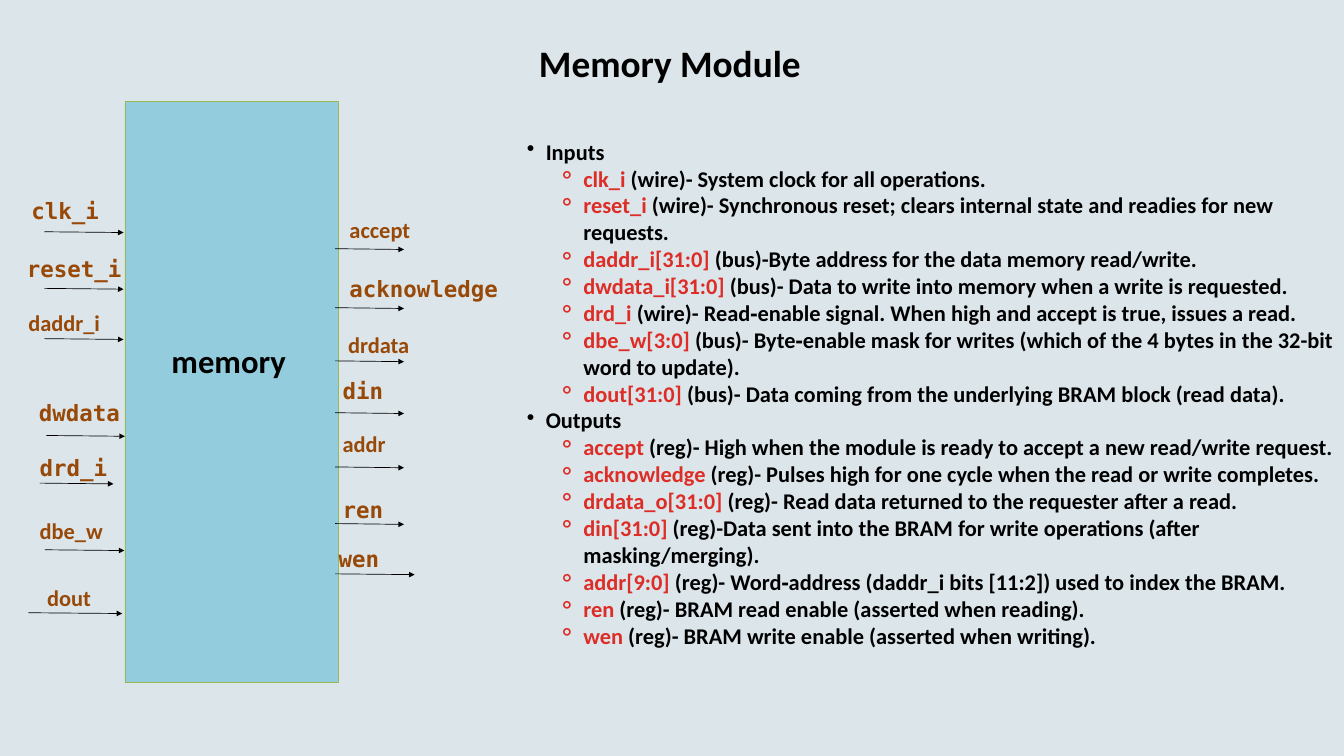
from lxml.etree import SubElement
from pptx import Presentation
from pptx.dml.color import RGBColor
from pptx.enum.shapes import MSO_CONNECTOR, MSO_SHAPE
from pptx.enum.text import MSO_ANCHOR, MSO_AUTO_SIZE, PP_ALIGN
from pptx.oxml.ns import qn
from pptx.util import Cm, Pt

SANS, MONO = "Calibri", "DejaVu Sans Mono"
BLACK, BROWN, RED = "000000", "984807", "DD2D26"

# name, font, label left, label top, arrow start, arrow end, arrow y (cm)
INS = [
    ("clk_i", MONO, 1.19, 7.44, 1.68, 4.67, 8.76),
    ("reset_i", MONO, 1.02, 9.63, 1.68, 4.67, 10.9),
    ("daddr_i", SANS, 1.07, 11.68, 1.68, 4.67, 12.8),
    ("dwdata", MONO, 1.47, 15.09, 1.75, 4.72, 16.46),
    ("drd_i", MONO, 1.5, 17.15, 1.5, 4.29, 18.26),
    ("dbe_w", SANS, 1.5, 19.53, 1.7, 4.7, 20.78),
    ("dout", SANS, 1.78, 22.07, 1.07, 4.62, 23.16),
]
OUTS = [
    ("accept", SANS, 13.21, 8.18, 12.67, 15.27, 9.4),
    ("acknowledge", MONO, 13.21, 10.39, 12.67, 15.27, 11.63),
    ("drdata", SANS, 13.16, 12.52, 12.67, 15.27, 13.64),
    ("din", MONO, 12.95, 14.27, 12.67, 15.27, 15.6),
    ("addr", SANS, 12.95, 16.26, 12.67, 15.27, 17.65),
    ("ren", MONO, 12.95, 18.75, 12.67, 15.27, 19.79),
    ("wen", MONO, 12.8, 20.6, 12.67, 15.67, 21.69),
]
NOTES = {
    "Inputs": [
        ("clk_i", " (wire)- System clock for all operations."),
        ("reset_i", " (wire)- Synchronous reset; clears internal state"
                    " and readies for new requests."),
        ("daddr_i[31:0]", " (bus)-Byte address for the data memory read/write."),
        ("dwdata_i[31:0]", " (bus)- Data to write into memory when a write is requested."),
        ("drd_i", " (wire)- Read‐enable signal. When high and accept is true,"
                  " issues a read."),
        ("dbe_w[3:0] ", "(bus)- Byte‐enable mask for writes (which of the 4 bytes"
                        " in the 32-bit word to update)."),
        ("dout[31:0]", " (bus)- Data coming from the underlying BRAM block (read data)."),
    ],
    "Outputs": [
        ("accept ", "(reg)- High when the module is ready to accept"
                    " a new read/write request."),
        ("acknowledge", " (reg)- Pulses high for one cycle when the read"
                        " or write completes."),
        ("drdata_o[31:0]", " (reg)- Read data returned to the requester after a read."),
        ("din[31:0]", " (reg)-Data sent into the BRAM for write operations"
                      " (after masking/merging)."),
        ("addr[9:0] ", "(reg)- Word‐address (daddr_i bits [11:2])"
                       " used to index the BRAM."),
        ("ren", " (reg)- BRAM read enable (asserted when reading)."),
        ("wen", " (reg)- BRAM write enable (asserted when writing)."),
    ],
}


def rgb(code):
    return RGBColor.from_string(code)


def set_up(frame, anchor=MSO_ANCHOR.TOP):
    """Wrap the frame, with no insets and no autofit."""
    frame.word_wrap = True
    frame.auto_size = MSO_AUTO_SIZE.NONE
    frame.vertical_anchor = anchor
    frame.margin_left = frame.margin_right = 0
    frame.margin_top = frame.margin_bottom = 0
    return frame


def add_box(slide, x, y, w, h, anchor=MSO_ANCHOR.TOP):
    box = slide.shapes.add_textbox(Cm(x), Cm(y), Cm(w), Cm(h))
    return set_up(box.text_frame, anchor)


def add_run(par, text, size, color, font=SANS):
    par.line_spacing = Pt(size * 1.2)
    run = par.add_run()
    run.text = text
    run.font.size, run.font.name, run.font.bold = Pt(size), font, True
    run.font.color.rgb = rgb(color)


def add_arrow(slide, x1, x2, y):
    line = slide.shapes.add_connector(
        MSO_CONNECTOR.STRAIGHT, Cm(x1), Cm(y), Cm(x2), Cm(y + 0.03))
    line.line.width = Pt(0.75)
    line.line.color.rgb = rgb(BLACK)
    SubElement(line.line._get_or_add_ln(), qn("a:tailEnd"), type="triangle")
    SubElement(line._element.spPr, qn("a:effectLst"))


def add_signals(slide, signals, width):
    for name, font, x, y, start, end, level in signals:
        add_arrow(slide, start, end, level)
        frame = add_box(slide, x, y, width, 1.1)
        add_run(frame.paragraphs[0], name, 24, BROWN, font)


def add_bullet(par, level, mark, left, hang):
    par.level = level
    props = par._p.get_or_add_pPr()
    props.set("marL", str(Cm(left)))
    props.set("indent", str(-Cm(hang)))
    SubElement(props, qn("a:buChar"), char=mark)


def add_notes(slide):
    frame = add_box(slide, 19.18, 4.6, 31.62, 20.52, MSO_ANCHOR.MIDDLE)
    par = frame.paragraphs[0]
    for head, items in NOTES.items():
        if par is None:
            par = frame.add_paragraph()
        add_bullet(par, 0, "•", 1.45, 0.71)
        add_run(par, head, 24, BLACK)
        for name, text in items:
            par = frame.add_paragraph()
            add_bullet(par, 1, "⚬", 2.87, 0.97)
            add_run(par, name, 24, RED)
            add_run(par, text, 24, BLACK)
        par = None


def add_title(slide):
    title = slide.shapes.title
    title.left, title.top = Cm(20.37), Cm(1.5)
    title.width, title.height = Cm(12.2), Cm(1.88)
    par = set_up(title.text_frame).paragraphs[0]
    par.alignment = PP_ALIGN.LEFT
    add_run(par, "Memory Module", 40, BLACK)


def add_block(slide):
    block = slide.shapes.add_shape(
        MSO_SHAPE.RECTANGLE, Cm(4.72), Cm(3.84), Cm(8.08), Cm(21.97))
    block.shadow.inherit = False
    block.fill.solid()
    block.fill.fore_color.rgb = rgb("93CDDD")
    block.line.color.rgb = rgb("98B954")
    block.line.width = Pt(0.75)
    par = add_box(slide, 5.84, 12.9, 5.61, 1.68).paragraphs[0]
    par.alignment = PP_ALIGN.CENTER
    add_run(par, "memory", 35, BLACK)


def main():
    deck = Presentation()
    deck.slide_width, deck.slide_height = Cm(50.8), Cm(28.575)
    slide = deck.slides.add_slide(deck.slide_layouts[5])
    slide.background.fill.solid()
    slide.background.fill.fore_color.rgb = rgb("DBE5EA")
    add_title(slide)
    add_block(slide)
    add_signals(slide, INS, 3.6)
    add_signals(slide, OUTS, 5.9)
    add_notes(slide)
    deck.save("out.pptx")


if __name__ == "__main__":
    main()
